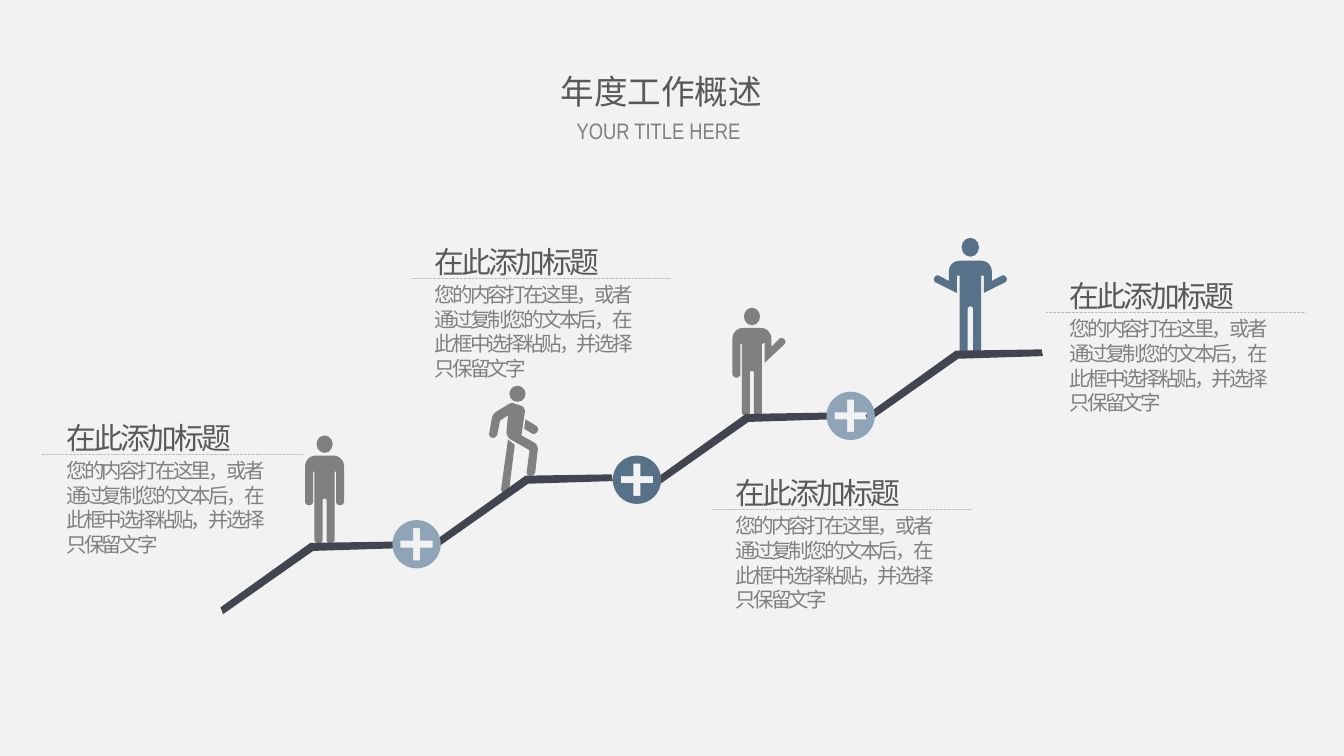
"""Build the annual work overview slide: people climbing a staircase with four callouts."""
from dataclasses import dataclass
from typing import NamedTuple

from lxml.etree import SubElement
from pptx import Presentation
from pptx.dml.color import RGBColor
from pptx.enum.dml import MSO_LINE
from pptx.enum.shapes import MSO_CONNECTOR, MSO_SHAPE
from pptx.enum.text import MSO_AUTO_SIZE, PP_ALIGN
from pptx.oxml.ns import qn
from pptx.util import Emu, Inches, Pt

COLUMNS, ROWS = 100, 56.25
CELL = Inches(0.1)
CIRCLE_PULL = 0.5523
CORNER_SAMPLES = 8


@dataclass(frozen=True)
class Theme:
    """Colours, fonts and type sizes of the slide."""
    background: str = "F2F2F2"
    heading: str = "595959"
    grey: str = "808080"
    steps: str = "42454F"
    accent: str = "577188"
    soft: str = "8FA4B7"
    rule: str = "BFBFBF"
    latin: str = "Arial"
    narrow: str = "Arial Narrow"
    chinese: str = "Noto Sans CJK SC"
    title_size: float = 18
    subtitle_size: float = 12
    heading_size: float = 16
    body_size: float = 11
    tracking: float = -1.5


class Corner(NamedTuple):
    """A polygon corner in grid cells with its rounding radius."""
    x: float
    y: float
    radius: float = 0


class Figure(NamedTuple):
    """A standing person: body centre and top, head size, both halves, colour."""
    centre: float
    top: float
    head: tuple[float, float]
    neck: float
    left_half: list[Corner]
    right_half: list[Corner]
    color: str


class Badge(NamedTuple):
    """A disc with a plus cut out, placed by its centre."""
    x: float
    y: float
    color: str


class Style(NamedTuple):
    """Type settings of one text."""
    size: float
    color: str
    font: str
    tracking: float = 0
    line_spacing: float | None = None
    align: PP_ALIGN | None = None


THEME = Theme()
TITLE = Style(THEME.title_size, THEME.heading, THEME.chinese, align=PP_ALIGN.CENTER)
SUBTITLE = Style(THEME.subtitle_size, THEME.grey, THEME.narrow, align=PP_ALIGN.CENTER)
HEADING = Style(THEME.heading_size, THEME.heading, THEME.latin, THEME.tracking, 1.3)
BODY = Style(THEME.body_size, THEME.grey, THEME.latin, THEME.tracking)

LEGS = [Corner(-0.75, 1.2), Corner(-0.75, 6.55, 0.3), Corner(-0.15, 6.55, 0.3), Corner(-0.15, 3.2, 0.15)]
ARM_DOWN = [Corner(-1.45, 0, 0.8), Corner(-1.45, 3.7, 0.3), Corner(-0.85, 3.7, 0.3), Corner(-0.85, 1.2), *LEGS]
ARM_WAVING = [Corner(-1.45, 0, 0.8), Corner(-1.45, 1.4), Corner(-2.2, 0.65, 0.25), Corner(-2.6, 1.05, 0.25),
              Corner(-0.95, 2.6), Corner(-0.95, 1.1), *LEGS]
ARM_OPEN = [Corner(-1.6, 0, 0.8), Corner(-1.6, 1.5), Corner(-2.55, 1, 0.25), Corner(-2.8, 1.5, 0.25),
            Corner(-1, 2.4), Corner(-1, 1.1), Corner(-0.8, 1.1), Corner(-0.8, 7.05, 0.3),
            Corner(-0.2, 7.05, 0.3), Corner(-0.2, 3.4, 0.2)]
FIGURES = [
    Figure(24.15, 33.9, (1.2, 1.3), 1.5, ARM_DOWN, ARM_DOWN, THEME.grey),
    Figure(55.95, 24.4, (1.2, 1.3), 1.5, ARM_DOWN, ARM_WAVING, THEME.grey),
    Figure(72.2, 19.4, (1.3, 1.4), 1.7, ARM_OPEN, ARM_OPEN, THEME.accent),
]
CLIMBER = [
    [Corner(36.65, 30.8, 0.3), Corner(38.05, 29.95, 0.2), Corner(39.1, 30.3, 0.35), Corner(38.8, 32.4),
     Corner(40.05, 33.1, 0.35), Corner(39.8, 35.4, 0.3), Corner(39.15, 35.4, 0.3), Corner(39.4, 33.5),
     Corner(37.65, 32.5, 0.4), Corner(37.8, 30.9), Corner(37.2, 31.3), Corner(36.95, 32.6, 0.3),
     Corner(36.35, 32.55, 0.3)],
    [Corner(37.8, 32.7), Corner(38.3, 33.1), Corner(37.85, 36.75, 0.3), Corner(37.25, 36.65, 0.3)],
    [Corner(39.1, 31.2), Corner(40.15, 31.85, 0.3), Corner(39.8, 32.4, 0.3), Corner(39, 31.9)],
]
STEP = [Corner(13.1, 0), Corner(6.7, 0.1), Corner(0, 4.9), Corner(0.2, 5.4), Corner(6.9, 0.7), Corner(13.2, 0.5)]
STEP_ORIGINS = [(16.4, 40.3), (32.4, 35.3), (48.8, 30.7), (64.4, 26)]
BADGES = [Badge(47.4, 35.7, THEME.accent), Badge(31, 40.5, THEME.soft), Badge(63.3, 30.95, THEME.soft)]
DISC_RADIUS, PLUS_ARM, PLUS_HALF = 1.8, 1.2, 0.26
CALLOUT_ORIGINS = [(3.95, 33.6), (31.35, 20.5), (53.75, 37.7), (78.6, 23.05)]


def cells(count: float) -> Emu:
    """Convert grid cells to a length."""
    return Emu(round(count * CELL))


def shifted(corners: list[Corner], x: float, y: float) -> list[Corner]:
    """Move corners by an offset."""
    return [Corner(c.x + x, c.y + y, c.radius) for c in corners]


def mirrored(corners: list[Corner]) -> list[Corner]:
    """Flip a left half into the right half that continues it."""
    return [Corner(-c.x, c.y, c.radius) for c in reversed(corners)]


def toward(start: Corner, end: Corner, distance: float) -> tuple[float, float]:
    """Return the point at a distance from start on the way to end."""
    share = distance / ((end.x - start.x) ** 2 + (end.y - start.y) ** 2) ** 0.5
    return start.x + (end.x - start.x) * share, start.y + (end.y - start.y) * share


def rounded(corners: list[Corner]) -> list[tuple[Emu, Emu]]:
    """Trace a closed polygon with its corners rounded, as lengths on the slide."""
    trace = []
    for index, corner in enumerate(corners):
        if not corner.radius:
            trace.append((corner.x, corner.y))
            continue
        before, after = corners[index - 1], corners[(index + 1) % len(corners)]
        pull = corner.radius * (1 - CIRCLE_PULL)
        curve = [toward(corner, before, corner.radius), toward(corner, before, pull),
                 toward(corner, after, pull), toward(corner, after, corner.radius)]
        for sample in range(CORNER_SAMPLES + 1):
            t = sample / CORNER_SAMPLES
            weights = ((1 - t) ** 3, 3 * t * (1 - t) ** 2, 3 * t * t * (1 - t), t ** 3)
            trace.append(tuple(sum(w * p[axis] for w, p in zip(weights, curve)) for axis in (0, 1)))
    return [(cells(x), cells(y)) for x, y in trace]


def paint(shape, color: str) -> None:
    """Give a shape a flat fill without line or shadow."""
    shape.shadow.inherit = False
    shape.fill.solid()
    shape.fill.fore_color.rgb = RGBColor.from_string(color)
    shape.line.fill.background()


def draw_outline(shapes, color: str, *contours: list[Corner]) -> None:
    """Draw one freeform made of closed contours."""
    traces = [rounded(contour) for contour in contours]
    builder = shapes.build_freeform(*traces[0][0])
    builder.add_line_segments(traces[0][1:], close=True)
    for trace in traces[1:]:
        builder.move_to(*trace[0])
        builder.add_line_segments(trace[1:], close=True)
    paint(builder.convert_to_shape(), color)


def draw_head(shapes, centre: float, top: float, size: tuple[float, float], color: str) -> None:
    """Draw a head centred on a column."""
    width, height = size
    paint(shapes.add_shape(MSO_SHAPE.OVAL, cells(centre - width / 2), cells(top), cells(width), cells(height)), color)


def draw_figure(shapes, figure: Figure) -> None:
    """Draw a standing person."""
    draw_head(shapes, figure.centre, figure.top - figure.neck, figure.head, figure.color)
    body = figure.left_half + mirrored(figure.right_half)
    draw_outline(shapes, figure.color, shifted(body, figure.centre, figure.top))


def draw_badge(shapes, badge: Badge) -> None:
    """Draw a disc with a plus-shaped hole."""
    r, a, h = DISC_RADIUS, PLUS_ARM, PLUS_HALF
    disc = [Corner(x, y, r) for x, y in ((-r, -r), (r, -r), (r, r), (-r, r))]
    plus = [Corner(x, y) for x, y in ((-h, -a), (-h, -h), (-a, -h), (-a, h), (-h, h), (-h, a),
                                      (h, a), (h, h), (a, h), (a, -h), (h, -h), (h, -a))]
    draw_outline(shapes, badge.color, shifted(disc, badge.x, badge.y), shifted(plus, badge.x, badge.y))


def draw_text(shapes, text: str, box: tuple[float, float, float, float], style: Style) -> None:
    """Draw one paragraph in a text box given in cells."""
    frame = shapes.add_textbox(*map(cells, box)).text_frame
    frame.word_wrap = True
    frame.auto_size = MSO_AUTO_SIZE.SHAPE_TO_FIT_TEXT
    frame.text = text
    paragraph = frame.paragraphs[0]
    paragraph.alignment = style.align
    paragraph.line_spacing = style.line_spacing
    run = paragraph.runs[0]
    run.font.size = Pt(style.size)
    run.font.name = style.font
    run.font.color.rgb = RGBColor.from_string(style.color)
    properties = run._r.get_or_add_rPr()
    SubElement(properties, qn("a:ea")).set("typeface", THEME.chinese)
    if style.tracking:
        properties.set("spc", str(round(style.tracking * 100)))


def draw_callout(shapes, left: float, top: float) -> None:
    """Draw a heading and body separated by a dashed rule."""
    draw_text(shapes, "您的内容打在这里，或者通过复制您的文本后，在此框中选择粘贴，并选择只保留文字", (left, top, 17.6, 8.4), BODY)
    draw_text(shapes, "在此添加标题", (left, top - 3.65, 19.5, 4.2), HEADING)
    ends = map(cells, (left - 0.8, top + 0.2, left + 18.6, top + 0.2))
    rule = shapes.add_connector(MSO_CONNECTOR.STRAIGHT, *ends)
    rule.line.color.rgb = RGBColor.from_string(THEME.rule)
    rule.line.width = Pt(0.5)
    rule.line.dash_style = MSO_LINE.SQUARE_DOT
    SubElement(rule._element.spPr, qn("a:effectLst"))


def main() -> None:
    """Assemble and save the slide."""
    deck = Presentation()
    deck.slide_width, deck.slide_height = cells(COLUMNS), cells(ROWS)
    slide = deck.slides.add_slide(deck.slide_layouts[6])
    slide.background.fill.solid()
    slide.background.fill.fore_color.rgb = RGBColor.from_string(THEME.background)
    shapes = slide.shapes
    for figure in FIGURES:
        draw_figure(shapes, figure)
    draw_head(shapes, 38.5, 28.7, (1.2, 1.2), THEME.grey)
    for limb in CLIMBER:
        draw_outline(shapes, THEME.grey, limb)
    for origin in STEP_ORIGINS:
        draw_outline(shapes, THEME.steps, shifted(STEP, *origin))
    for badge in BADGES:
        draw_badge(shapes, badge)
    for origin in CALLOUT_ORIGINS:
        draw_callout(shapes, *origin)
    draw_text(shapes, "年度工作概述", (38, 4.8, 22.4, 4), TITLE)
    draw_text(shapes, "YOUR TITLE HERE", (41.8, 8.2, 14.4, 3), SUBTITLE)
    deck.save("out.pptx")


if __name__ == "__main__":
    main()
